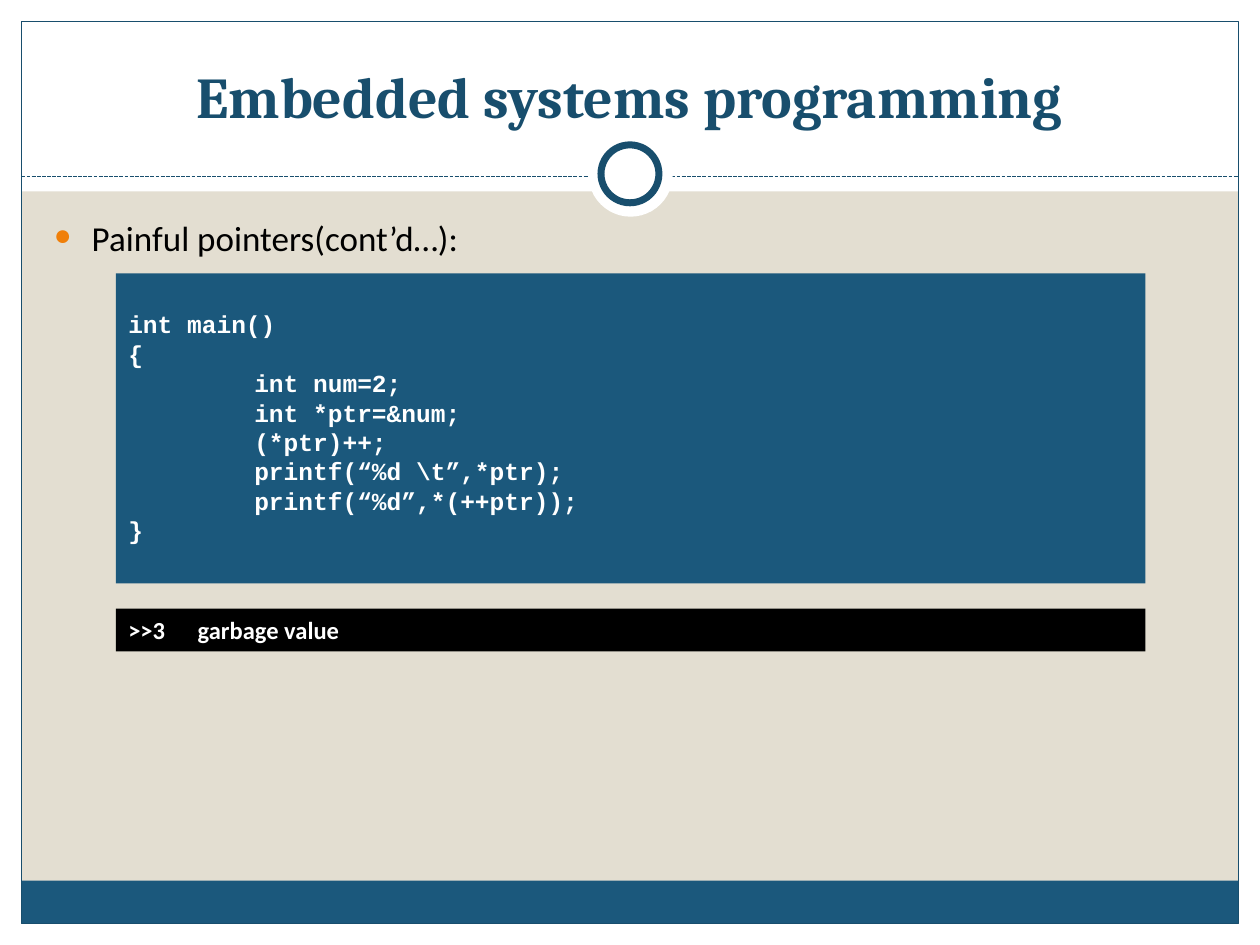
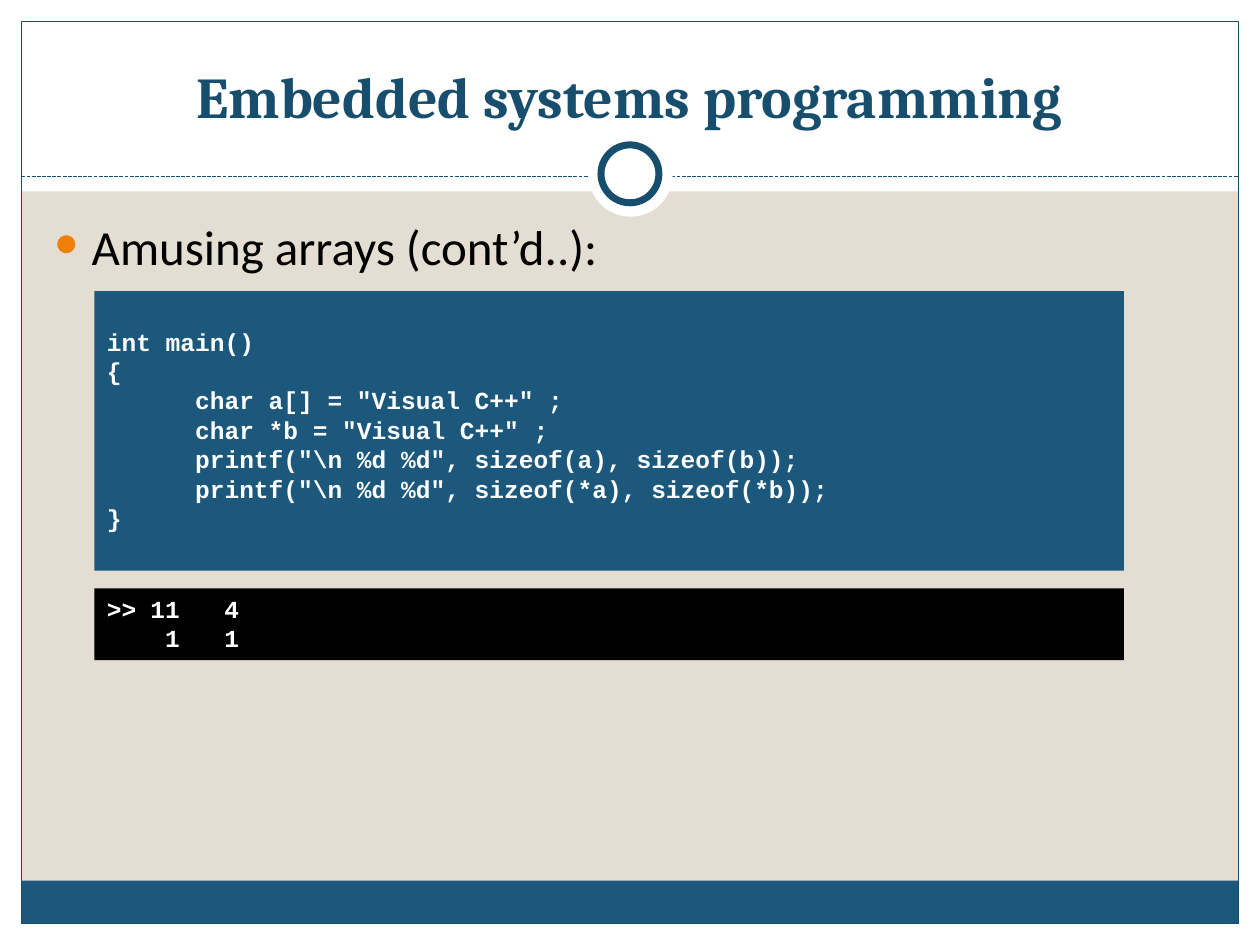
"""Build two code-walkthrough slides with a shared frame, title style and panels."""
from dataclasses import dataclass
from typing import Optional

import lxml.etree
import pptx
import pptx.dml.color
import pptx.enum.dml
import pptx.enum.shapes
import pptx.enum.text
import pptx.oxml.ns
import pptx.presentation
import pptx.shapes.autoshape
import pptx.slide
import pptx.text.text
import pptx.util

Inches = pptx.util.Inches
Pt = pptx.util.Pt
RGBColor = pptx.dml.color.RGBColor
Shape = pptx.enum.shapes.MSO_SHAPE
Align = pptx.enum.text.PP_ALIGN
Anchor = pptx.enum.text.MSO_ANCHOR
qn = pptx.oxml.ns.qn

SAND = RGBColor(0xE3, 0xDE, 0xD1)
WHITE = RGBColor(0xFF, 0xFF, 0xFF)
BLACK = RGBColor(0x00, 0x00, 0x00)
BLUE = RGBColor(0x1B, 0x58, 0x7C)
NAVY = RGBColor(0x18, 0x4E, 0x6D)
ORANGE = RGBColor(0xF0, 0x7F, 0x09)

TITLE_FONT, BODY_FONT, CODE_FONT = "Cambria", "Calibri", "Courier New"
TITLE = "Embedded systems programming"
WIDTH, HEIGHT, MARGIN = 10, 7.5, 0.17
INNER_WIDTH = WIDTH - 2 * MARGIN
RULE_TOP = 1.4
PANEL_WIDTH = 8.17


@dataclass(frozen=True)
class Block:
    """A preset shape with its place in inches, fill and outline."""

    left: float
    top: float
    width: float
    height: float
    fill: Optional[RGBColor] = None
    line: Optional[RGBColor] = None
    line_width: float = 0.75
    preset: Shape = Shape.RECTANGLE


@dataclass(frozen=True)
class Stop:
    """A tab stop in inches, aligned left (l) or right (r)."""

    position: float
    align: str


@dataclass(frozen=True)
class Panel:
    """A filled strip of bold text lines."""

    block: Block
    lines: tuple[str, ...]
    font: str = CODE_FONT
    stops: tuple[Stop, ...] = (Stop(1, "l"),)


@dataclass(frozen=True)
class Lesson:
    """The content of one slide."""

    topic: str
    topic_size: int
    panels: tuple[Panel, ...]


FRAME = (
    Block(0, HEIGHT - MARGIN, WIDTH, MARGIN, WHITE),
    Block(0, 0, WIDTH, 1.52, WHITE),
    Block(0, 0, MARGIN, HEIGHT, WHITE),
    Block(WIDTH - MARGIN, 0, MARGIN, HEIGHT, WHITE),
    Block(MARGIN, 6.99, INNER_WIDTH, 0.34, BLUE),
    Block(MARGIN, MARGIN, INNER_WIDTH, HEIGHT - 2 * MARGIN, line=NAVY),
)
RING = (
    Block(4.67, 1.05, 0.67, 0.67, WHITE, preset=Shape.OVAL),
    Block(4.77, 1.15, 0.46, 0.46, WHITE, NAVY, 4, Shape.OVAL),
)

LESSONS = (
    Lesson("Painful pointers(cont’d…):", 20, (
        Panel(Block(0.92, 4.83, PANEL_WIDTH, 0.34, BLACK),
              (">>3\tgarbage value",), BODY_FONT, (Stop(0.55, "l"),)),
        Panel(Block(0.92, 2.17, PANEL_WIDTH, 2.46, BLUE), (
            "int main()",
            "{",
            "\tint num=2;",
            "\tint *ptr=&num;",
            "\t(*ptr)++;",
            "\tprintf(“%d \\t”,*ptr);",
            "\tprintf(“%d”,*(++ptr));",
            "}",
        )),
    )),
    Lesson("Amusing arrays (cont’d..):", 28, (
        Panel(Block(0.75, 2.31, PANEL_WIDTH, 2.22, BLUE), (
            "int main()",
            "{",
            '      char a[] = "Visual C++" ;',
            '      char *b = "Visual C++" ;',
            '      printf("\\n %d %d", sizeof(a), sizeof(b));',
            '      printf("\\n %d %d", sizeof(*a), sizeof(*b));',
            "}",
        )),
        Panel(Block(0.75, 4.67, PANEL_WIDTH, 0.57, BLACK),
              (">>\t11\t4", "\t1\t1"),
              stops=(Stop(0.58, "r"), Stop(1.05, "r"))),
    )),
)


def add_span(para: pptx.text.text._Paragraph, text: str, font: str, size: int,
             color: RGBColor, bold: bool = False) -> None:
    """Add one formatted run to a paragraph."""
    span = para.add_run()
    span.text = text
    span.font.name = font
    span.font.size = Pt(size)
    span.font.bold = bold
    span.font.color.rgb = color


def add_block(page: pptx.slide.Slide, block: Block) -> pptx.shapes.autoshape.Shape:
    """Draw a preset shape."""
    box = page.shapes.add_shape(block.preset, Inches(block.left), Inches(block.top),
                                Inches(block.width), Inches(block.height))
    box.shadow.inherit = False
    if block.fill is None:
        box.fill.background()
    else:
        box.fill.solid()
        box.fill.fore_color.rgb = block.fill
    if block.line is None:
        box.line.fill.background()
    else:
        box.line.color.rgb = block.line
        box.line.width = Pt(block.line_width)
    return box


def add_rule(page: pptx.slide.Slide) -> None:
    """Draw the dashed rule under the title."""
    rule = page.shapes.add_connector(
        pptx.enum.shapes.MSO_CONNECTOR.STRAIGHT, Inches(MARGIN), Inches(RULE_TOP),
        Inches(WIDTH - MARGIN), Inches(RULE_TOP))
    rule.line.color.rgb = NAVY
    rule.line.width = Pt(0.75)
    rule.line.dash_style = pptx.enum.dml.MSO_LINE.SQUARE_DOT
    lxml.etree.SubElement(rule.element.spPr, qn("a:effectLst"))


def add_frame(page: pptx.slide.Slide) -> None:
    """Draw the background, bands, rule and ring."""
    page.background.fill.solid()
    page.background.fill.fore_color.rgb = SAND
    for block in FRAME:
        add_block(page, block)
    add_rule(page)
    for block in RING:
        add_block(page, block)


def set_title(page: pptx.slide.Slide) -> None:
    """Place and format the title above the frame."""
    title = page.shapes.title
    title.element.getparent().append(title.element)
    title.left, title.top = Inches(0.33), Inches(0.25)
    title.width, title.height = Inches(9.33), Inches(0.83)
    frame = title.text_frame
    frame.auto_size = pptx.enum.text.MSO_AUTO_SIZE.NONE
    frame.vertical_anchor = Anchor.BOTTOM
    para = frame.paragraphs[0]
    para.alignment = Align.CENTER
    add_span(para, TITLE, TITLE_FONT, 33, NAVY, True)


def add_topic(page: pptx.slide.Slide, text: str, size: int) -> None:
    """Add the bulleted topic line."""
    box = page.shapes.add_textbox(Inches(0.33), Inches(1.67), Inches(9.3), Inches(5))
    box.text_frame.word_wrap = True
    para = box.text_frame.paragraphs[0]
    para.alignment = Align.JUSTIFY
    properties = para._p.get_or_add_pPr()
    properties.set("marL", str(Inches(0.3)))
    properties.set("indent", str(-Inches(0.3)))
    color = lxml.etree.SubElement(properties, qn("a:buClr"))
    lxml.etree.SubElement(color, qn("a:srgbClr"), val=str(ORANGE))
    lxml.etree.SubElement(properties, qn("a:buSzPct"), val="85000")
    lxml.etree.SubElement(properties, qn("a:buFont"), typeface=CODE_FONT)
    lxml.etree.SubElement(properties, qn("a:buChar"), char="●")
    add_span(para, text, BODY_FONT, size, BLACK)


def add_stops(para: pptx.text.text._Paragraph, stops: tuple[Stop, ...]) -> None:
    """Give a paragraph its tab stops."""
    tabs = lxml.etree.SubElement(para._p.get_or_add_pPr(), qn("a:tabLst"))
    for stop in stops:
        lxml.etree.SubElement(tabs, qn("a:tab"), pos=str(Inches(stop.position)),
                              algn=stop.align)


def add_panel(page: pptx.slide.Slide, panel: Panel) -> None:
    """Draw a code or output panel."""
    frame = add_block(page, panel.block).text_frame
    frame.word_wrap = True
    frame.vertical_anchor = Anchor.MIDDLE
    if panel.font == CODE_FONT:
        frame.margin_bottom = Inches(0.07)
    for index, line in enumerate(panel.lines):
        para = frame.add_paragraph() if index else frame.paragraphs[0]
        para.alignment = Align.LEFT
        if "\t" in line:
            add_stops(para, panel.stops)
        add_span(para, line, panel.font, 14, WHITE, True)


def add_lesson(deck: pptx.presentation.Presentation, lesson: Lesson) -> None:
    """Add one complete slide."""
    page = deck.slides.add_slide(deck.slide_layouts.get_by_name("Title Only"))
    add_frame(page)
    set_title(page)
    add_topic(page, lesson.topic, lesson.topic_size)
    for panel in lesson.panels:
        add_panel(page, panel)


def main() -> None:
    """Build and save the deck."""
    deck = pptx.Presentation()
    deck.slide_width, deck.slide_height = Inches(WIDTH), Inches(HEIGHT)
    for lesson in LESSONS:
        add_lesson(deck, lesson)
    deck.save("out.pptx")


if __name__ == "__main__":
    main()
